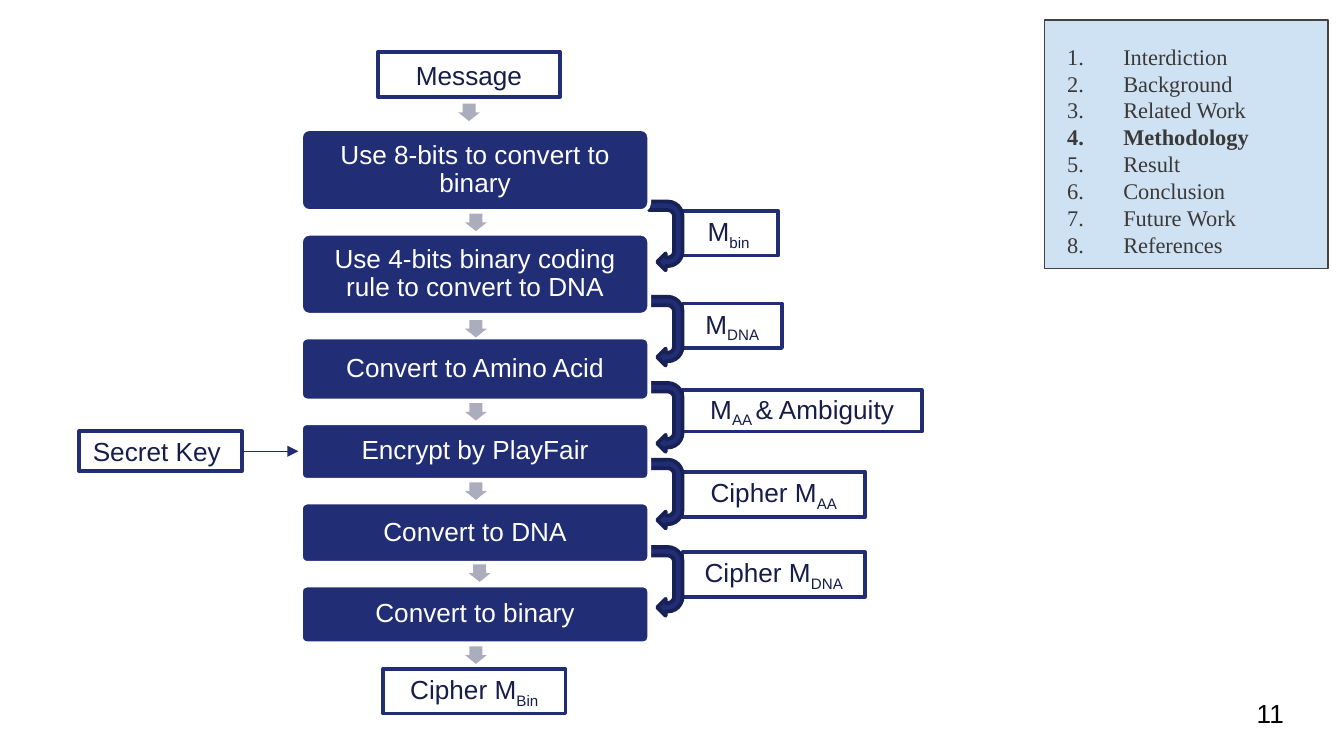
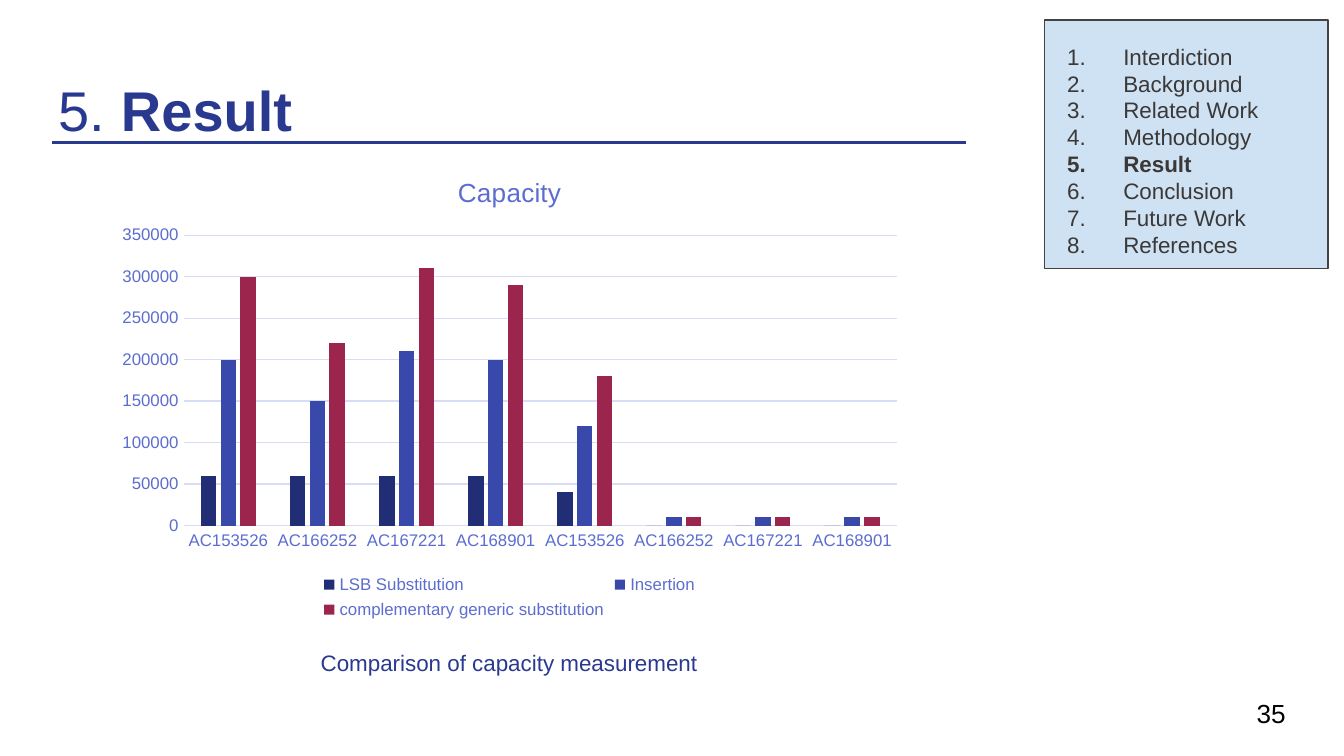
from dataclasses import dataclass

from lxml.etree import SubElement
from pptx import Presentation
from pptx.chart.data import CategoryChartData
from pptx.dml.color import RGBColor
from pptx.enum.chart import XL_CHART_TYPE, XL_LEGEND_POSITION, XL_TICK_MARK
from pptx.enum.shapes import MSO_CONNECTOR, MSO_SHAPE
from pptx.enum.text import MSO_ANCHOR, PP_ALIGN
from pptx.oxml.ns import qn
from pptx.util import Cm, Pt

WHITE = RGBColor(0xFF, 0xFF, 0xFF)
BLACK = RGBColor(0x00, 0x00, 0x00)
NAVY = RGBColor(0x21, 0x2D, 0x74)
DARK_NAVY = RGBColor(0x18, 0x21, 0x56)
LABEL_INK = RGBColor(0x15, 0x1D, 0x48)
KEY_ARROW = RGBColor(0x1E, 0x2B, 0x73)
TITLE_BLUE = RGBColor(0x2A, 0x39, 0x90)
GREY = RGBColor(0xAC, 0xAD, 0xBC)
MENU_FILL = RGBColor(0xCF, 0xE2, 0xF3)
MENU_EDGE = RGBColor(0x43, 0x43, 0x43)
MENU_INK = RGBColor(0x3B, 0x38, 0x38)
CHART_INK = RGBColor(0x5C, 0x6D, 0xCF)
CHART_GRID = RGBColor(0xD9, 0xDD, 0xF4)
INDIGO = RGBColor(0x39, 0x49, 0xAB)
CRIMSON = RGBColor(0x9C, 0x25, 0x4D)

SECTIONS = ["Interdiction", "Background", "Related Work", "Methodology",
            "Result", "Conclusion", "Future Work", "References"]


@dataclass(frozen=True)
class Box:
    """A rectangle in centimetres."""
    left: float
    top: float
    width: float
    height: float

    def lengths(self) -> tuple:
        return Cm(self.left), Cm(self.top), Cm(self.width), Cm(self.height)


@dataclass(frozen=True)
class Run:
    text: str
    bold: bool = False
    sub: bool = False


@dataclass(frozen=True)
class Label:
    box: Box
    runs: list


@dataclass(frozen=True)
class Step:
    text: str
    top: float
    height: float


@dataclass(frozen=True)
class Series:
    name: str
    color: RGBColor
    values: tuple


STEP_LEFT, STEP_WIDTH = 5.69, 6.58
STEPS = [
    Step("Use 8-bits to convert to binary", 2.44, 1.55),
    Step("Use 4-bits binary coding rule to convert to DNA", 4.42, 1.53),
    Step("Convert to Amino Acid", 6.38, 1.19),
    Step("Encrypt by PlayFair", 8.0, 1.07),
    Step("Convert to DNA", 9.5, 1.14),
    Step("Convert to binary", 11.07, 1.09),
]
LABELS = [
    Label(Box(12.83, 3.99, 1.88, 0.84), [Run("M"), Run("bin", sub=True)]),
    Label(Box(12.9, 5.74, 1.88, 0.84), [Run("M"), Run("DNA", sub=True)]),
    Label(Box(12.9, 7.37, 4.52, 0.79),
          [Run("M"), Run("AA ", sub=True), Run("& Ambiguity")]),
    Label(Box(12.9, 8.92, 3.45, 0.86), [Run("Cipher M"), Run("AA", sub=True)]),
    Label(Box(12.9, 10.44, 3.45, 0.84), [Run("Cipher M"), Run("DNA", sub=True)]),
    Label(Box(7.24, 12.65, 3.45, 0.84), [Run("Cipher M"), Run("Bin", sub=True)]),
    Label(Box(7.14, 0.99, 3.45, 0.84), [Run("Message")]),
    Label(Box(1.5, 8.15, 3.07, 0.76), [Run("Secret Key ")]),
]
HOOK_TOPS = [4.14, 5.94, 7.57, 9.02, 10.67]
DOWN_ARROWS = [(8.66, 1.96), (8.79, 4.04), (8.79, 6.05), (8.79, 7.62),
               (8.79, 9.12), (8.86, 10.67), (8.79, 12.22)]

ACCESSIONS = ["AC153526", "AC166252", "AC167221", "AC168901"] * 2
CAPACITY = [
    Series("LSB Substitution", NAVY,
           (60000, 60000, 60000, 60000, 40000, 0, 0, 0)),
    Series("Insertion", INDIGO,
           (200000, 150000, 210000, 200000, 120000, 10000, 10000, 10000)),
    Series("complementary generic substitution", CRIMSON,
           (300000, 220000, 310000, 290000, 180000, 10000, 10000, 10000)),
]


def style_font(font, size: float, color: RGBColor, name: str = "Arial",
               bold: bool = False) -> None:
    font.size, font.name, font.bold = Pt(size), name, bold
    font.color.rgb = color


def put_text(sp, paragraphs: list, *, size: float = 14, color: RGBColor = BLACK,
             font: str = "Arial", align=PP_ALIGN.LEFT, anchor=MSO_ANCHOR.MIDDLE,
             spacing=None, pad: float | None = None) -> None:
    """Fill a shape with paragraphs, each a list of runs; pad is in centimetres."""
    tf = sp.text_frame
    tf.word_wrap = True
    tf.vertical_anchor = anchor
    if pad is not None:
        tf.margin_left = tf.margin_right = tf.margin_top = tf.margin_bottom = Cm(pad)
    for i, runs in enumerate(paragraphs):
        p = tf.add_paragraph() if i else tf.paragraphs[0]
        p.alignment = align
        if spacing is not None:
            p.line_spacing = spacing
        for run in runs:
            r = p.add_run()
            r.text = run.text
            style_font(r.font, size, color, font, run.bold)
            if run.sub:
                r._r.get_or_add_rPr().set("baseline", "-25000")


def add_text(s, box: Box, paragraphs: list, **fmt):
    sp = s.shapes.add_textbox(*box.lengths())
    put_text(sp, paragraphs, **fmt)
    return sp


def add_block(s, kind, box: Box, fill: RGBColor, line: RGBColor | None = None,
              weight: float = 2):
    sp = s.shapes.add_shape(kind, *box.lengths())
    sp.shadow.inherit = False
    sp.fill.solid()
    sp.fill.fore_color.rgb = fill
    if line is None:
        sp.line.fill.background()
    else:
        sp.line.color.rgb = line
        sp.line.width = Pt(weight)
    return sp


def add_rule(s, left: float, right: float, y: float, color: RGBColor,
             weight: float, arrow: bool = False) -> None:
    """Draw a horizontal line, with an arrowhead at its right end if asked."""
    cx = s.shapes.add_connector(MSO_CONNECTOR.STRAIGHT,
                                Cm(left), Cm(y), Cm(right), Cm(y))
    cx.line.color.rgb = color
    cx.line.width = Pt(weight)
    if arrow:
        SubElement(cx.line._get_or_add_ln(), qn("a:tailEnd"), type="triangle")
    SubElement(cx._element.spPr, qn("a:effectLst"))


def number_paragraph(p, color: RGBColor) -> None:
    pPr = p._p.get_or_add_pPr()
    pPr.set("marL", str(Cm(1.27)))
    pPr.set("indent", str(Cm(-1.06)))
    clr = SubElement(pPr, qn("a:buClr"))
    SubElement(clr, qn("a:srgbClr"), val=str(color))
    SubElement(pPr, qn("a:buAutoNum"), type="arabicPeriod")


def add_frame(prs, number: int, current: str, menu_font: str = "Arial"):
    """Add a slide with its page number and the section menu."""
    s = prs.slides.add_slide(prs.slide_layouts[6])
    add_text(s, Box(23.5, 12.93, 1.52, 1.09), [[Run(str(number))]], pad=0.25)
    add_block(s, MSO_SHAPE.RECTANGLE, Box(19.74, 0.38, 5.36, 4.7),
              MENU_FILL, MENU_EDGE, 0.75)
    menu = add_text(s, Box(19.71, 0.56, 5.36, 3.84),
                    [[Run(name, bold=name == current)] for name in SECTIONS],
                    size=12, color=MENU_INK, font=menu_font,
                    anchor=MSO_ANCHOR.TOP, spacing=Pt(14.4), pad=0.25)
    for p in menu.text_frame.paragraphs:
        number_paragraph(p, MENU_INK)
    return s


def build_methodology(prs) -> None:
    s = add_frame(prs, 11, "Methodology", "Times New Roman")
    for label in LABELS:
        sp = add_block(s, MSO_SHAPE.RECTANGLE, label.box, WHITE, NAVY)
        put_text(sp, [label.runs], color=LABEL_INK, align=PP_ALIGN.CENTER)
    for top in HOOK_TOPS:
        sp = add_block(s, MSO_SHAPE.U_TURN_ARROW, Box(11.93, top, 1.3, 0.64),
                       NAVY, DARK_NAVY)
        sp.rotation = 90
    add_rule(s, 4.62, 5.64, 8.53, KEY_ARROW, 0.75, arrow=True)
    for step in STEPS:
        sp = add_block(s, MSO_SHAPE.ROUNDED_RECTANGLE,
                       Box(STEP_LEFT, step.top, STEP_WIDTH, step.height), NAVY, WHITE)
        sp.adjustments[0] = 0.1
        put_text(sp, [[Run(step.text)]], color=WHITE, align=PP_ALIGN.CENTER,
                 spacing=0.9, pad=0.2)
    for left, top in DOWN_ARROWS:
        sp = add_block(s, MSO_SHAPE.DOWN_ARROW, Box(left, top, 0.41, 0.33), GREY)
        sp.adjustments[0] = 0.6


def add_capacity_chart(s, box: Box) -> None:
    data = CategoryChartData()
    data.categories = ACCESSIONS
    for series in CAPACITY:
        data.add_series(series.name, series.values)
    chart = s.shapes.add_chart(XL_CHART_TYPE.COLUMN_CLUSTERED,
                               *box.lengths(), data).chart
    style_font(chart.font, 10, TITLE_BLUE)
    chart.has_title = True
    p = chart.chart_title.text_frame.paragraphs[0]
    r = p.add_run()
    r.text = "Capacity"
    style_font(r.font, 14, CHART_INK)
    chart.chart_title.include_in_layout = False

    chart.has_legend = True
    chart.legend.position = XL_LEGEND_POSITION.BOTTOM
    chart.legend.include_in_layout = False
    style_font(chart.legend.font, 9, CHART_INK)

    plot = chart.plots[0]
    plot.gap_width, plot.overlap, plot.vary_by_categories = 219, -27, False
    for drawn, series in zip(plot.series, CAPACITY):
        drawn.format.fill.solid()
        drawn.format.fill.fore_color.rgb = series.color
        drawn.invert_if_negative = False

    cat, val = chart.category_axis, chart.value_axis
    for axis in (cat, val):
        axis.major_tick_mark = axis.minor_tick_mark = XL_TICK_MARK.NONE
        style_font(axis.tick_labels.font, 9, CHART_INK)
    val.minimum_scale, val.maximum_scale, val.major_unit = 0, 350000, 50000
    val.has_major_gridlines = True
    val.format.line.fill.background()
    for line in (cat.format.line, val.major_gridlines.format.line):
        line.color.rgb = CHART_GRID
        line.width = Pt(0.75)


def build_result(prs) -> None:
    s = add_frame(prs, 35, "Result")
    add_text(s, Box(0.86, 0.84, 7.8, 2.11), [[Run("5. "), Run("Result", bold=True)]],
             size=30, color=TITLE_BLUE, anchor=MSO_ANCHOR.BOTTOM, spacing=1.15, pad=0.25)
    add_rule(s, 0.99, 18.26, 2.69, TITLE_BLUE, 1.5)
    add_capacity_chart(s, Box(2.01, 2.92, 15.24, 8.89))
    add_text(s, Box(4.47, 12.14, 10.31, 0.76),
             [[Run("Comparison of capacity measurement")]],
             size=12, color=TITLE_BLUE, align=PP_ALIGN.CENTER)


def main() -> None:
    prs = Presentation()
    prs.slide_width, prs.slide_height = Cm(25.4), Cm(14.29)
    build_methodology(prs)
    build_result(prs)
    prs.save("out.pptx")


if __name__ == "__main__":
    main()
